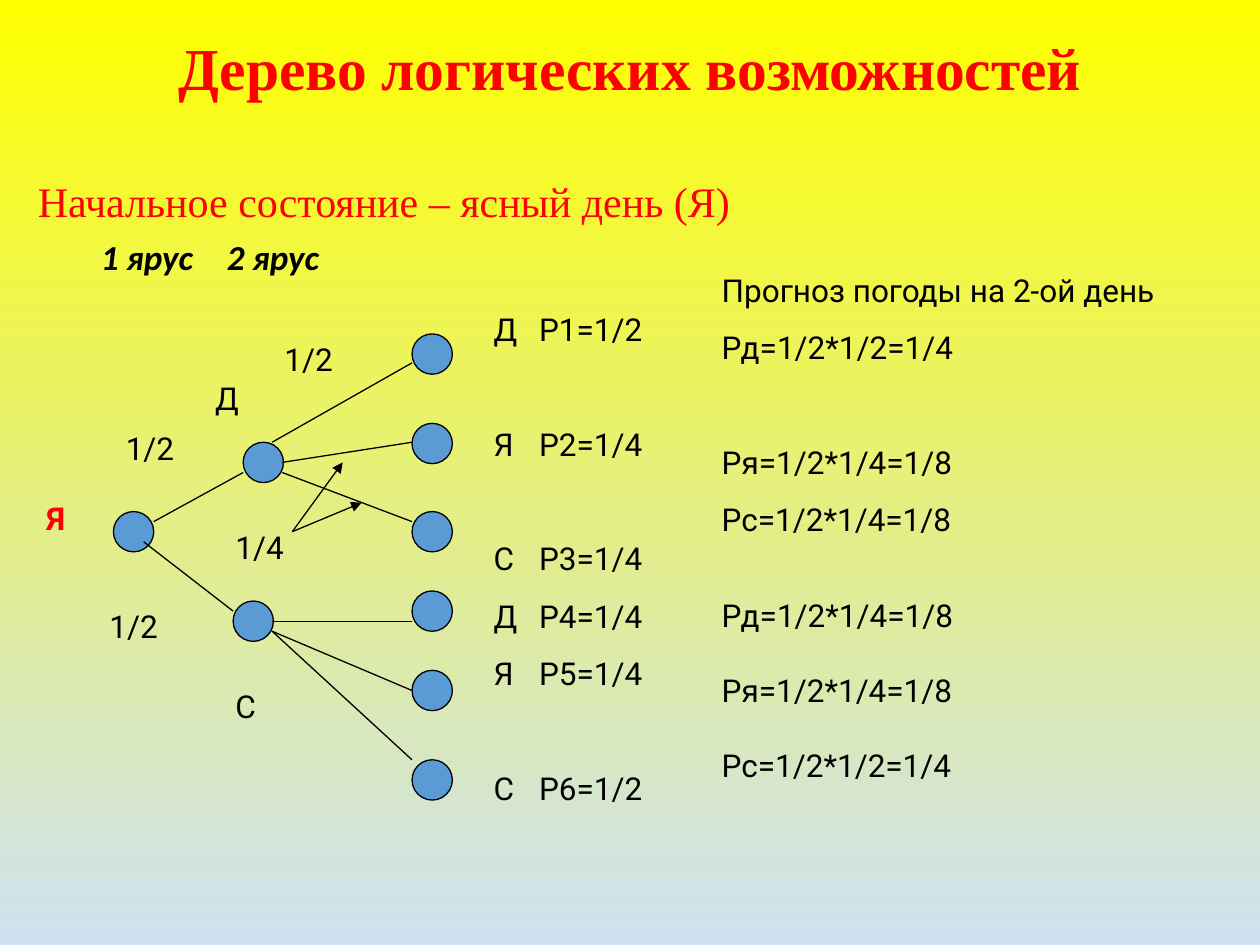
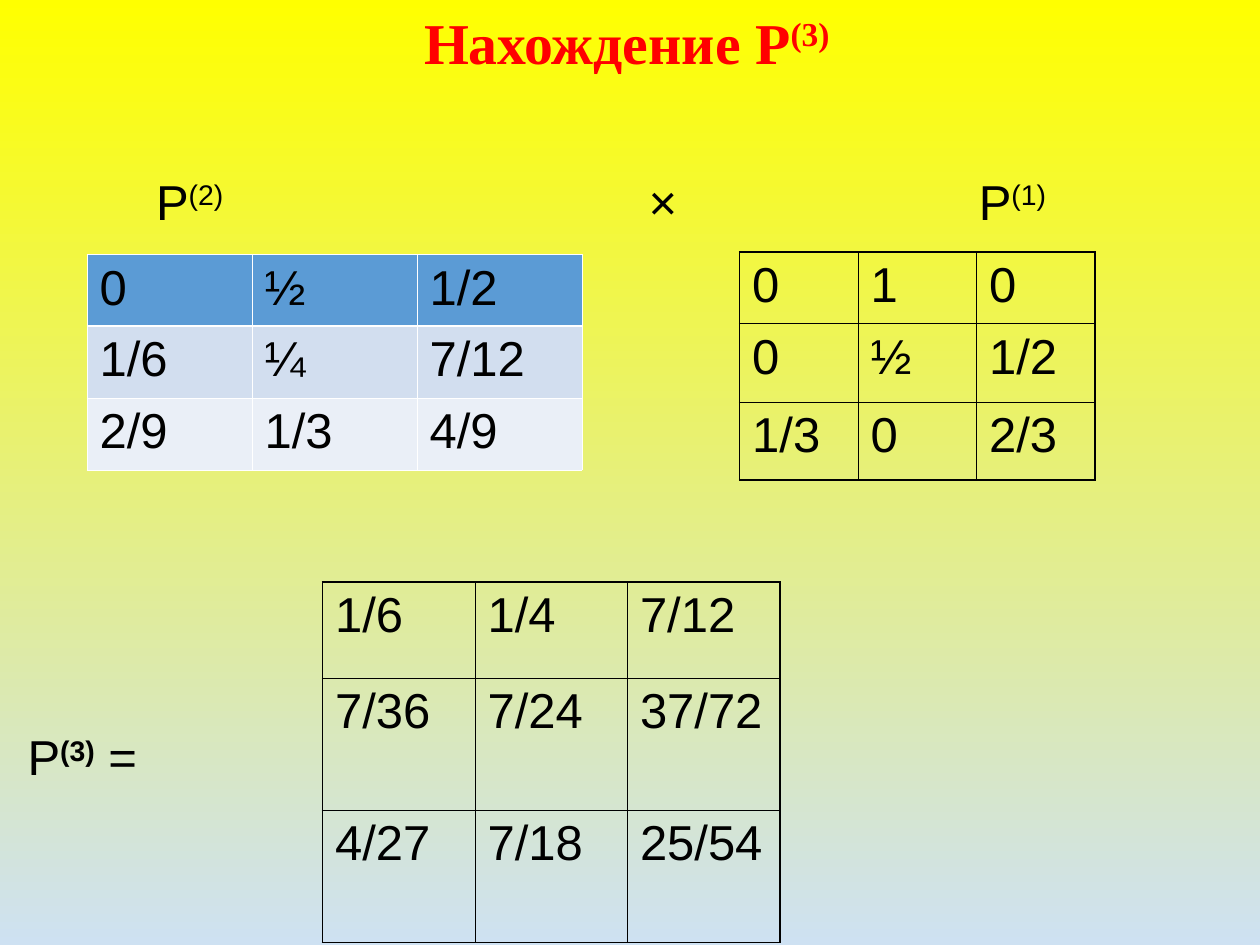
from dataclasses import dataclass
from typing import Optional

from lxml.etree import SubElement
from pptx import Presentation
from pptx.dml.color import RGBColor
from pptx.enum.shapes import MSO_CONNECTOR, MSO_SHAPE
from pptx.enum.text import MSO_ANCHOR, MSO_AUTO_SIZE, PP_ALIGN
from pptx.oxml.ns import qn
from pptx.util import Inches, Pt

YELLOW = RGBColor(0xFF, 0xFF, 0x00)
PALE_BLUE = RGBColor(0xCE, 0xE1, 0xF2)
RED = RGBColor(0xFF, 0x00, 0x00)
BLACK = RGBColor(0x00, 0x00, 0x00)
WHITE = RGBColor(0xFF, 0xFF, 0xFF)
BLUE = RGBColor(0x5B, 0x9B, 0xD5)
BAND_DARK = RGBColor(0xD2, 0xDE, 0xEF)
BAND_LIGHT = RGBColor(0xEA, 0xEF, 0xF7)

NODE_SIZE = 0.32
LEAF_LEFT = 3.27
NEAR, FAR = 11.2, 44


@dataclass(frozen=True)
class Style:
    face: str
    size: float
    color: RGBColor = BLACK
    bold: bool = False
    italic: bool = False


@dataclass(frozen=True)
class Box:
    left: float
    top: float
    width: float
    height: float

    def lengths(self) -> list:
        return [Inches(v) for v in (self.left, self.top, self.width, self.height)]


@dataclass(frozen=True)
class Piece:
    text: str
    raised: bool = False
    bold: Optional[bool] = None


@dataclass(frozen=True)
class Label:
    text: str
    box: Box
    style: Style


@dataclass(frozen=True)
class Branch:
    start: tuple[float, float]
    end: tuple[float, float]
    arrow: bool = False


@dataclass(frozen=True)
class Matrix:
    left: float
    top: float
    column_width: float
    row_heights: tuple[float, ...]
    rows: tuple[str, ...]
    fills: tuple[Optional[RGBColor], ...] = (None, None, None)
    border: RGBColor = BLACK
    outer: float = 1.08
    header_rule: float = 0.45
    inner: float = 0.45


TREE_TEXT = Style("Roboto", 18)
ROOT_TEXT = Style("Roboto", 18, RED, bold=True)
MATRIX_TEXT = Style("Arial", 28)
INTRO_TEXT = Style("Times New Roman", 24, RED)
TIER_TEXT = Style("Calibri", 20, bold=True, italic=True)

INNER_NODES = [(0.9, 4.06), (1.93, 3.51), (1.85, 4.77)]
LEAF_TOPS = [2.65, 3.36, 4.06, 4.69, 5.32, 6.03]

BRANCHES = [
    Branch((1.22, 4.14), (1.93, 3.75)),
    Branch((1.14, 4.3), (1.85, 4.85)),
    Branch((2.16, 3.51), (LEAF_LEFT, 2.88)),
    Branch((2.24, 3.67), (LEAF_LEFT, 3.51)),
    Branch((2.24, 3.75), (LEAF_LEFT, 4.14)),
    Branch((2.16, 4.93), (LEAF_LEFT, 4.93)),
    Branch((2.16, 5.01), (LEAF_LEFT, 5.48)),
    Branch((2.16, 5.01), (LEAF_LEFT, 6.03)),
    Branch((2.32, 4.22), (2.72, 3.67), arrow=True),
    Branch((2.32, 4.22), (2.87, 3.99), arrow=True),
]

TREE_LABELS = [
    Label("Я", Box(0.27, 3.91, 0.47, 0.4), ROOT_TEXT),
    Label("Д", Box(1.61, 2.96, 0.47, 0.4), TREE_TEXT),
    Label("С", Box(1.77, 5.4, 0.47, 0.4), TREE_TEXT),
    Label("1/2", Box(0.9, 3.36, 0.63, 0.4), TREE_TEXT),
    Label("1/2", Box(0.77, 4.77, 0.69, 0.4), TREE_TEXT),
    Label("1/2", Box(2.16, 2.65, 0.63, 0.4), TREE_TEXT),
    Label("1/4", Box(1.77, 4.14, 0.63, 0.4), TREE_TEXT),
]

OUTCOMES = [
    ("Д\tР1=1/2", NEAR),
    ("Я\tР2=1/4", FAR),
    ("С\tР3=1/4", FAR),
    ("Д\tР4=1/4", NEAR),
    ("Я\tР5=1/4", NEAR),
    ("С\tР6=1/2", FAR),
]

FORECAST = [
    ("Прогноз погоды на 2-ой день", NEAR),
    ("Рд=1/2*1/2=1/4", NEAR),
    ("Ря=1/2*1/4=1/8", FAR),
    ("Рс=1/2*1/4=1/8", NEAR),
    ("Рд=1/2*1/4=1/8", 32.8),
    ("Ря=1/2*1/4=1/8", 21.4),
    ("Рс=1/2*1/2=1/4", 21.4),
]

MATRICES = [
    Matrix(0.69, 2.02, 1.31, (0.57, 0.57, 0.57),
           ("0 ½ 1/2", "1/6 ¼ 7/12", "2/9 1/3 4/9"),
           (BLUE, BAND_DARK, BAND_LIGHT), WHITE, 0.45, 1.47),
    Matrix(5.87, 2, 0.94, (0.57, 0.62, 0.62), ("0 1 0", "0 ½ 1/2", "1/3 0 2/3")),
    Matrix(2.56, 4.62, 1.21, (0.76, 1.05, 1.05),
           ("1/6 1/4 7/12", "7/36 7/24 37/72", "4/27 7/18 25/54")),
]


def apply_style(paragraph, style: Style) -> None:
    font = paragraph.font
    font.name, font.size = style.face, Pt(style.size)
    font.bold, font.italic = style.bold, style.italic
    font.color.rgb = style.color


def set_tabs(paragraph, stops: tuple[float, ...]) -> None:
    tabs = SubElement(paragraph._p.get_or_add_pPr(), qn("a:tabLst"))
    for stop in stops:
        SubElement(tabs, qn("a:tab"), pos=str(Inches(stop)), algn="l")


def add_pieces(paragraph, pieces: list[Piece]) -> None:
    for piece in pieces:
        run = paragraph.add_run()
        run.text = piece.text
        if piece.bold is not None:
            run.font.bold = piece.bold
        if piece.raised:
            run._r.get_or_add_rPr().set("baseline", "30000")


def place(shape, box: Box) -> None:
    shape.left, shape.top, shape.width, shape.height = box.lengths()


def set_title(slide, box: Box, size: float, pieces: list[Piece]) -> None:
    title = slide.shapes.title
    place(title, box)
    frame = title.text_frame
    frame.auto_size = MSO_AUTO_SIZE.NONE
    frame.vertical_anchor = MSO_ANCHOR.MIDDLE
    heading = frame.paragraphs[0]
    heading.alignment = PP_ALIGN.CENTER
    heading.line_spacing = 0.9
    apply_style(heading, Style("Times New Roman", size, RED, bold=True))
    add_pieces(heading, pieces)


def add_frame(slide, box: Box):
    frame = slide.shapes.add_textbox(*box.lengths()).text_frame
    frame.word_wrap = True
    return frame


def add_label(slide, label: Label) -> None:
    paragraph = add_frame(slide, label.box).paragraphs[0]
    paragraph.text = label.text
    paragraph.space_before = Pt(NEAR)
    apply_style(paragraph, label.style)


def add_column(slide, box: Box, lines: list[tuple[str, float]]) -> None:
    frame = add_frame(slide, box)
    for index, (text, gap) in enumerate(lines):
        paragraph = frame.add_paragraph() if index else frame.paragraphs[0]
        paragraph.text = text
        paragraph.space_before = Pt(gap)
        if "\t" in text:
            set_tabs(paragraph, (0.36,))
        apply_style(paragraph, TREE_TEXT)


def add_formula(slide, box: Box, pieces: list[Piece], stops: tuple[float, ...] = ()) -> None:
    paragraph = add_frame(slide, box).paragraphs[0]
    if stops:
        set_tabs(paragraph, stops)
    apply_style(paragraph, MATRIX_TEXT)
    add_pieces(paragraph, pieces)


def add_node(slide, left: float, top: float) -> None:
    node = slide.shapes.add_shape(
        MSO_SHAPE.OVAL, *Box(left, top, NODE_SIZE, NODE_SIZE).lengths())
    node.shadow.inherit = False
    node.fill.solid()
    node.fill.fore_color.rgb = BLUE
    node.line.color.rgb = BLACK
    node.line.width = Pt(0.75)


def add_branch(slide, branch: Branch) -> None:
    ends = [Inches(v) for v in branch.start + branch.end]
    line = slide.shapes.add_connector(MSO_CONNECTOR.STRAIGHT, *ends)
    line.line.color.rgb = BLACK
    line.line.width = Pt(0.75)
    if branch.arrow:
        SubElement(line.line._get_or_add_ln(), qn("a:tailEnd"), type="triangle")
    SubElement(line._element.spPr, qn("a:effectLst"))


def set_borders(cell, color: RGBColor, widths: dict[str, float]) -> None:
    properties = cell._tc.get_or_add_tcPr()
    for side in ("L", "R", "T", "B"):
        edge = SubElement(properties, qn(f"a:ln{side}"), w=str(Pt(widths[side])))
        SubElement(SubElement(edge, qn("a:solidFill")), qn("a:srgbClr"), val=str(color))


def add_matrix(slide, matrix: Matrix) -> None:
    box = Box(matrix.left, matrix.top, 3 * matrix.column_width, sum(matrix.row_heights))
    table = slide.shapes.add_table(3, 3, *box.lengths()).table
    table.first_row = table.horz_banding = False
    for column in table.columns:
        column.width = Inches(matrix.column_width)
    for r, (height, row) in enumerate(zip(matrix.row_heights, matrix.rows)):
        table.rows[r].height = Inches(height)
        rules = (matrix.outer, matrix.header_rule, matrix.inner, matrix.outer)
        for c, value in enumerate(row.split()):
            cell = table.cell(r, c)
            set_borders(cell, matrix.border, {
                "L": matrix.inner if c else matrix.outer,
                "R": matrix.inner if c < 2 else matrix.outer,
                "T": rules[r],
                "B": rules[r + 1],
            })
            fill = matrix.fills[r]
            if fill is None:
                cell.fill.background()
            else:
                cell.fill.solid()
                cell.fill.fore_color.rgb = fill
            paragraph = cell.text_frame.paragraphs[0]
            paragraph.text = value
            apply_style(paragraph, MATRIX_TEXT)


def set_background(master) -> None:
    fill = master.background.fill
    fill.gradient()
    fill.gradient_angle = 270
    for stop, color in zip(fill.gradient_stops, (YELLOW, PALE_BLUE)):
        stop.color.rgb = color


def build_tree_slide(prs) -> None:
    slide = prs.slides.add_slide(prs.slide_layouts[1])
    set_title(slide, Box(0.5, 0.3, 9, 0.53), 34, [Piece("Дерево логических возможностей")])
    body = slide.placeholders[1]
    place(body, Box(0.2, 1.39, 9.3, 5.32))
    frame = body.text_frame
    frame.auto_size = MSO_AUTO_SIZE.NONE
    intro, tiers = frame.paragraphs[0], frame.add_paragraph()
    intro.text = "Начальное состояние – ясный день (Я)"
    tiers.text = "\t1 ярус\t2 ярус"
    for paragraph, style in ((intro, INTRO_TEXT), (tiers, TIER_TEXT)):
        properties = paragraph._p.get_or_add_pPr()
        properties.set("marL", "0")
        properties.set("indent", "0")
        SubElement(properties, qn("a:buNone"))
        if paragraph is tiers:
            set_tabs(paragraph, (0.95, 2.36))
        paragraph.line_spacing = 0.9
        paragraph.space_before = Pt(7.5)
        apply_style(paragraph, style)
    for left, top in INNER_NODES + [(LEAF_LEFT, top) for top in LEAF_TOPS]:
        add_node(slide, left, top)
    for branch in BRANCHES:
        add_branch(slide, branch)
    for label in TREE_LABELS:
        add_label(slide, label)
    add_column(slide, Box(3.82, 2.41, 5.67, 4.51), OUTCOMES)
    add_column(slide, Box(5.63, 2.1, 3.94, 5.4), FORECAST)


def build_matrix_slide(prs) -> None:
    slide = prs.slides.add_slide(prs.slide_layouts[5])
    set_title(slide, Box(0.66, 0.05, 8.63, 0.62), 33,
              [Piece("Нахождение P"), Piece("(3)", raised=True)])
    for matrix in MATRICES:
        add_matrix(slide, matrix)
    add_formula(slide, Box(1.14, 1.31, 7.48, 1.04),
                [Piece("P"), Piece("(2)", raised=True), Piece("\t×\tP"),
                 Piece("(1)", raised=True)], (3.91, 6.53))
    add_formula(slide, Box(0.12, 5.72, 2.12, 0.57),
                [Piece("P"), Piece("(3)", raised=True, bold=True), Piece(" =")])


def main() -> None:
    prs = Presentation()
    prs.slide_width, prs.slide_height = Inches(10), Inches(7.5)
    set_background(prs.slide_master)
    build_tree_slide(prs)
    build_matrix_slide(prs)
    prs.save("out.pptx")


if __name__ == "__main__":
    main()
